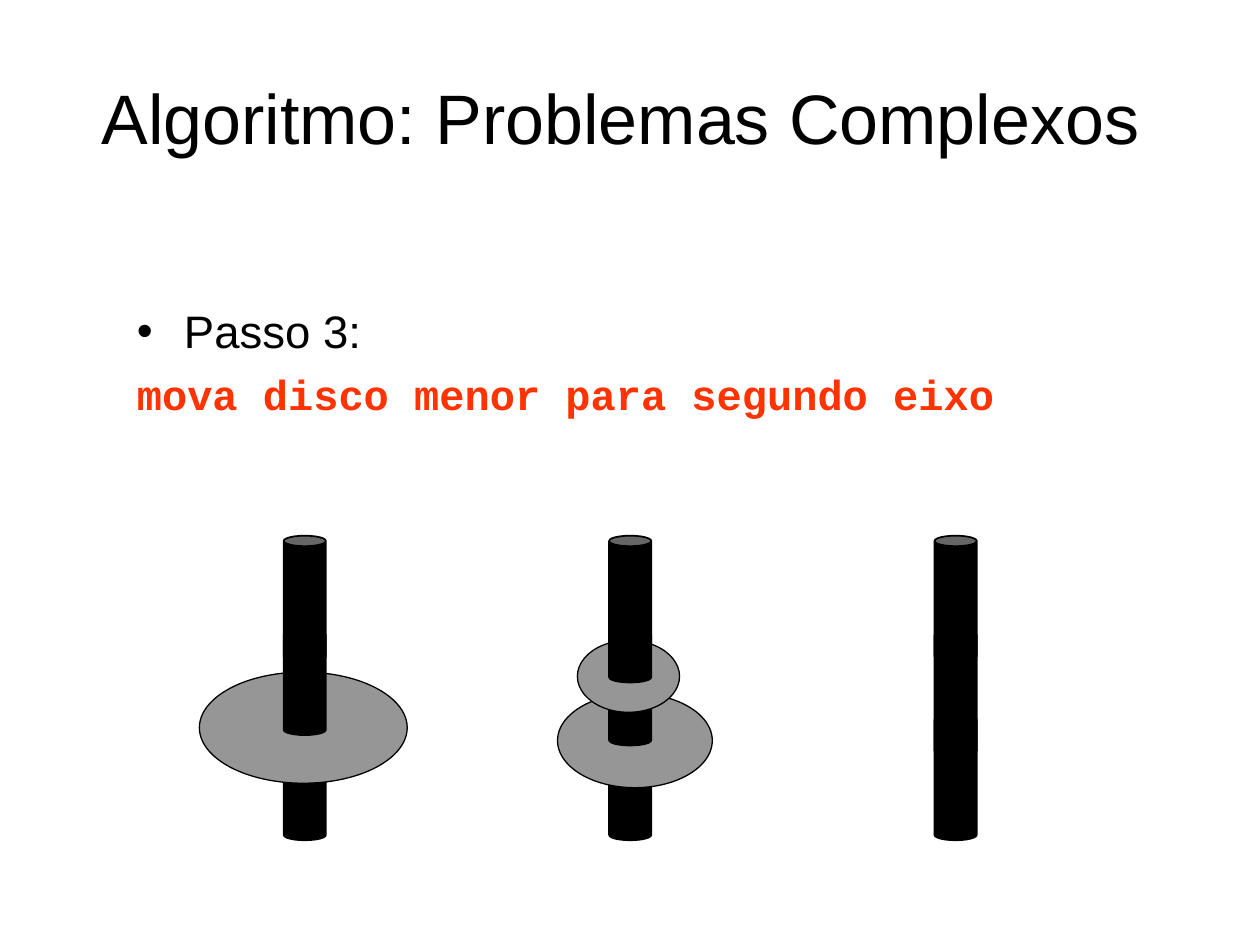
from lxml import etree
from pptx import Presentation
from pptx.dml.color import RGBColor
from pptx.enum.shapes import MSO_SHAPE
from pptx.enum.text import MSO_ANCHOR, PP_ALIGN
from pptx.oxml.ns import qn
from pptx.util import Cm, Pt

CAN, OVAL = MSO_SHAPE.CAN, MSO_SHAPE.OVAL
MIDDLE, CENTER = MSO_ANCHOR.MIDDLE, PP_ALIGN.CENTER
COLORS = {"black": "000000", "disc": "969696", "step": "FF3300"}
ROD_WIDTH = 0.85
PEG_PITCH = 6.56

BASE_ROD = (CAN, 0, 3.6, ROD_WIDTH, 2.54)
PEGS = [
    [BASE_ROD, (OVAL, -1.7, 2.75, 4.19, 2.24),
     (CAN, 0, 1.9, ROD_WIDTH, 2.12), (CAN, 0, 0, ROD_WIDTH, 2.54)],
    [BASE_ROD, (OVAL, -1.04, 3.18, 3.12, 1.9),
     (CAN, 0, 1.9, ROD_WIDTH, 2.33), (OVAL, -0.64, 2.11, 2.06, 1.45),
     (CAN, 0, 0, ROD_WIDTH, 2.96)],
    [BASE_ROD, (CAN, 0, 1.9, ROD_WIDTH, 2.54), (CAN, 0, 0, ROD_WIDTH, 2.54)],
]


def color(name):
    return RGBColor.from_string(COLORS[name])


def set_font(paragraph, name, size, color_name, bold=False):
    font = paragraph.font
    font.name, font.size, font.bold = name, Pt(size), bold
    font.color.rgb = color(color_name)


def add_title(slide, left, top, width, height):
    title = slide.shapes.title
    title.left, title.top = Cm(left), Cm(top)
    title.width, title.height = Cm(width), Cm(height)
    title.text_frame.text = "Algoritmo: Problemas Complexos "
    title.text_frame.vertical_anchor = MIDDLE
    paragraph = title.text_frame.paragraphs[0]
    paragraph.alignment = CENTER
    set_font(paragraph, "Arial", 40, "black")


def add_bullet(paragraph, indent):
    properties = paragraph._p.get_or_add_pPr()
    properties.set("marL", str(Cm(indent)))
    properties.set("indent", str(-Cm(indent)))
    etree.SubElement(properties, qn("a:buFont"), typeface="Arial")
    etree.SubElement(properties, qn("a:buChar"), char="•")


def add_step(slide, left, top, width, height):
    box = slide.shapes.add_textbox(Cm(left), Cm(top), Cm(width), Cm(height))
    frame = box.text_frame
    frame.word_wrap = True
    heading, action = frame.paragraphs[0], frame.add_paragraph()
    heading.text = "Passo 3:"
    heading.space_before = Pt(6.5)
    set_font(heading, "Arial", 26, "black")
    add_bullet(heading, 0.95)
    action.text = "mova disco menor para segundo eixo"
    action.space_before = Pt(6)
    set_font(action, "Courier New", 24, "step", bold=True)


def add_peg(slide, left, top, parts):
    for kind, x, y, width, height in parts:
        shape = slide.shapes.add_shape(
            kind, Cm(left + x), Cm(top + y), Cm(width), Cm(height))
        shape.shadow.inherit = False
        shape.fill.solid()
        shape.fill.fore_color.rgb = color("black" if kind == CAN else "disc")
        shape.line.color.rgb = color("black")
        shape.line.width = Pt(1 if kind == CAN else 0.75)


def add_towers(slide, left, top):
    for index, parts in enumerate(PEGS):
        add_peg(slide, left + index * PEG_PITCH, top, parts)


def main():
    presentation = Presentation()
    presentation.slide_width, presentation.slide_height = Cm(25.4), Cm(19.05)
    slide = presentation.slides.add_slide(presentation.slide_layouts[5])
    add_title(slide, 1.27, 0.91, 22.86, 2.87)
    add_step(slide, 2.51, 5.99, 20.4, 9.88)
    add_towers(slide, 5.72, 10.8)
    presentation.save("out.pptx")


if __name__ == "__main__":
    main()
